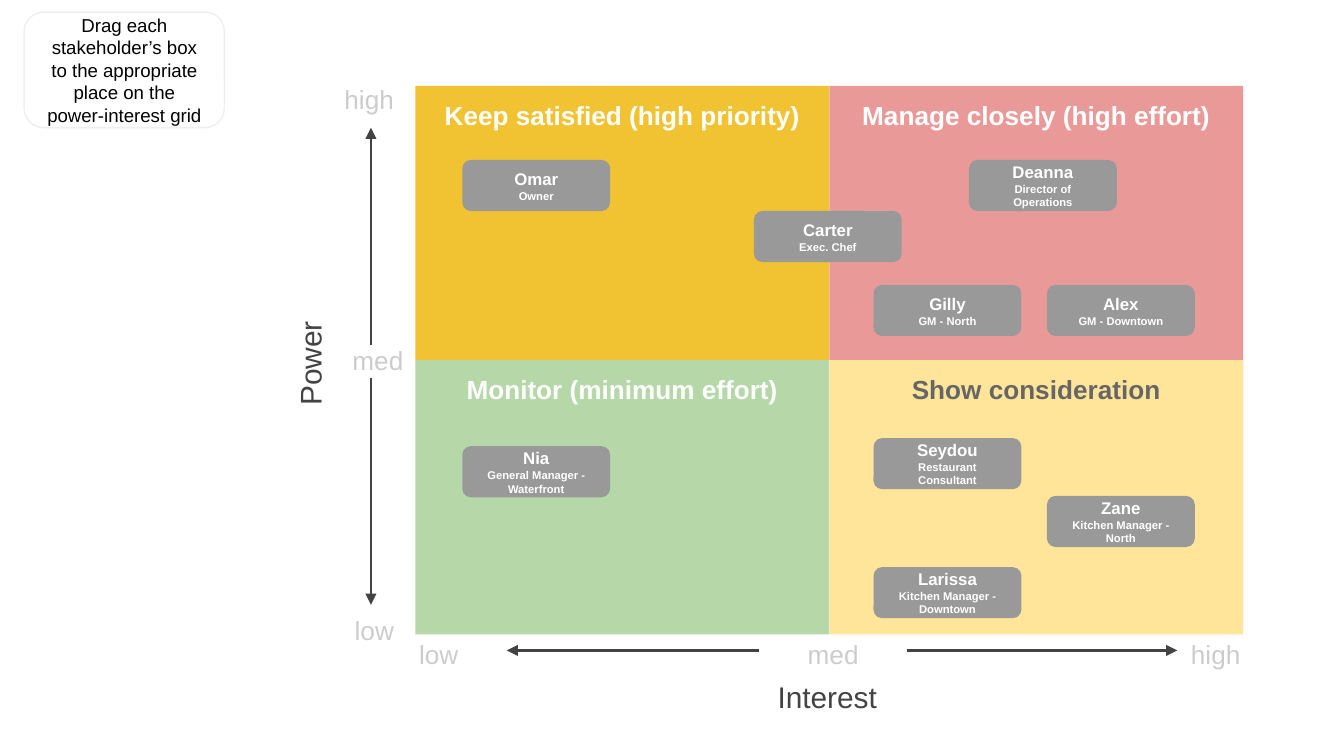
from typing import NamedTuple

from lxml import etree
from pptx import Presentation
from pptx.dml.color import RGBColor
from pptx.enum.shapes import MSO_CONNECTOR, MSO_SHAPE
from pptx.enum.text import MSO_ANCHOR, PP_ALIGN
from pptx.oxml.ns import qn
from pptx.util import Inches, Pt

RECTANGLE = MSO_SHAPE.RECTANGLE
ROUNDED = MSO_SHAPE.ROUNDED_RECTANGLE
STRAIGHT = MSO_CONNECTOR.STRAIGHT
TOP, MIDDLE = MSO_ANCHOR.TOP, MSO_ANCHOR.MIDDLE
CENTER, RIGHT = PP_ALIGN.CENTER, PP_ALIGN.RIGHT

FONT = "Arial"
WHITE, DARK, PALE, GRAY = "FFFFFF", "434343", "CCCCCC", "999999"
SLIDE_WIDTH = Inches(10)
SLIDE_HEIGHT = SLIDE_WIDTH * 9 // 16
GRID_LEFT, GRID_TOP = 3.09, 0.64
CELL_WIDTH, CELL_HEIGHT = 3.08, 2.04
CARD_WIDTH, CARD_HEIGHT = 1.1, 0.38
AXIS_X, AXIS_Y = 2.76, 4.84


class Box(NamedTuple):
    left: float
    top: float
    width: float
    height: float


class Line(NamedTuple):
    text: str
    size: float
    color: str
    bold: bool = False


class Quadrant(NamedTuple):
    column: int
    row: int
    title: str
    fill: str
    color: str = WHITE


class Label(NamedTuple):
    text: str
    box: Box
    size: float = 14
    color: str = PALE
    align: PP_ALIGN = CENTER
    anchor: MSO_ANCHOR = TOP
    rotation: float = 0


class Stakeholder(NamedTuple):
    name: str
    role: str
    left: float
    top: float


class Arrow(NamedTuple):
    start_x: float
    start_y: float
    end_x: float
    end_y: float


QUADRANTS = [
    Quadrant(0, 0, "Keep satisfied (high priority)", "F1C232"),
    Quadrant(1, 0, "Manage closely (high effort)", "EA9999"),
    Quadrant(0, 1, "Monitor (minimum effort)", "B6D7A8"),
    Quadrant(1, 1, "Show consideration", "FFE599", "666666"),
]
LABELS = [
    Label("Power", Box(1.39, 2.53, 1.83, 0.35), 16, DARK, anchor=MIDDLE, rotation=270),
    Label("high", Box(1.7, 0.52, 1.33, 0.26), align=RIGHT),
    Label("med", Box(2.42, 2.46, 0.68, 0.44), align=RIGHT),
    Label("low", Box(1.7, 4.47, 1.33, 0.26), align=RIGHT),
    Label("low", Box(2.76, 4.65, 1.01, 0.38)),
    Label("med", Box(5.65, 4.65, 1.1, 0.38)),
    Label("high", Box(8.54, 4.65, 1.01, 0.38)),
    Label("Interest", Box(5.41, 4.95, 1.49, 0.47), 16, DARK),
]
ARROWS = [
    Arrow(AXIS_X, 2.57, AXIS_X, 0.95),
    Arrow(AXIS_X, 2.81, AXIS_X, 4.5),
    Arrow(6.75, AXIS_Y, 8.76, AXIS_Y),
    Arrow(5.65, AXIS_Y, 3.77, AXIS_Y),
]
STAKEHOLDERS = [
    Stakeholder("Omar", "Owner", 3.44, 1.19),
    Stakeholder("Deanna", "Director of Operations", 7.21, 1.19),
    Stakeholder("Carter", "Exec. Chef", 5.61, 1.57),
    Stakeholder("Gilly", "GM - North", 6.5, 2.12),
    Stakeholder("Alex", "GM - Downtown", 7.79, 2.12),
    Stakeholder("Zane", "Kitchen Manager - North", 7.79, 3.69),
    Stakeholder("Larissa", "Kitchen Manager - Downtown", 6.5, 4.22),
    Stakeholder("Seydou", "Restaurant Consultant", 6.5, 3.26),
    Stakeholder("Nia", "General Manager - Waterfront", 3.44, 3.32),
]


def rgb(color: str) -> RGBColor:
    return RGBColor.from_string(color)


def write_text(shape, lines: list[Line], align=CENTER, anchor=TOP) -> None:
    frame = shape.text_frame
    frame.word_wrap = True
    frame.vertical_anchor = anchor
    frame.margin_left = frame.margin_right = Inches(0.1)
    frame.margin_top = frame.margin_bottom = Inches(0.1)
    for index, line in enumerate(lines):
        paragraph = frame.add_paragraph() if index else frame.paragraphs[0]
        paragraph.text = line.text
        paragraph.alignment = align
        font = paragraph.font
        font.name, font.size, font.bold = FONT, Pt(line.size), line.bold
        font.color.rgb = rgb(line.color)


def add_panel(slide, kind, box: Box, lines: list[Line], fill: str | None = None,
              outline: str | None = None, anchor=MIDDLE) -> None:
    shape = slide.shapes.add_shape(kind, *map(Inches, box))
    shape.shadow.inherit = False
    if fill:
        shape.fill.solid()
        shape.fill.fore_color.rgb = rgb(fill)
    else:
        shape.fill.background()
    if outline:
        shape.line.color.rgb = rgb(outline)
        shape.line.width = Pt(0.75)
    else:
        shape.line.fill.background()
    write_text(shape, lines, anchor=anchor)


def add_label(slide, label: Label) -> None:
    shape = slide.shapes.add_textbox(*map(Inches, label.box))
    shape.rotation = label.rotation
    write_text(shape, [Line(label.text, label.size, label.color)], label.align, label.anchor)


def add_arrow(slide, arrow: Arrow) -> None:
    connector = slide.shapes.add_connector(STRAIGHT, *map(Inches, arrow))
    connector.line.color.rgb = rgb(DARK)
    connector.line.width = Pt(1.5)
    properties = connector._element.spPr
    etree.SubElement(properties.find(qn("a:ln")), qn("a:tailEnd"), type="triangle")
    etree.SubElement(properties, qn("a:effectLst"))


def main() -> None:
    presentation = Presentation()
    presentation.slide_width = SLIDE_WIDTH
    presentation.slide_height = SLIDE_HEIGHT
    slide = presentation.slides.add_slide(presentation.slide_layouts[6])

    # Power-interest grid
    for quadrant in QUADRANTS:
        box = Box(GRID_LEFT + quadrant.column * CELL_WIDTH,
                  GRID_TOP + quadrant.row * CELL_HEIGHT, CELL_WIDTH, CELL_HEIGHT)
        title = Line(quadrant.title, 14, quadrant.color, True)
        add_panel(slide, RECTANGLE, box, [title], quadrant.fill, anchor=TOP)

    # Axes
    for label in LABELS:
        add_label(slide, label)
    for arrow in ARROWS:
        add_arrow(slide, arrow)

    # Instruction
    instruction = "Drag each stakeholder’s box to the appropriate place on the power-interest grid"
    add_panel(slide, ROUNDED, Box(0.18, 0.09, 1.49, 0.86),
              [Line(instruction, 10, "000000")], outline="EFEFEF")

    # Stakeholder cards
    for person in STAKEHOLDERS:
        add_panel(slide, ROUNDED, Box(person.left, person.top, CARD_WIDTH, CARD_HEIGHT),
                  [Line(person.name, 9, WHITE, True), Line(person.role, 6, WHITE, True)], GRAY)

    presentation.save("out.pptx")


if __name__ == "__main__":
    main()
